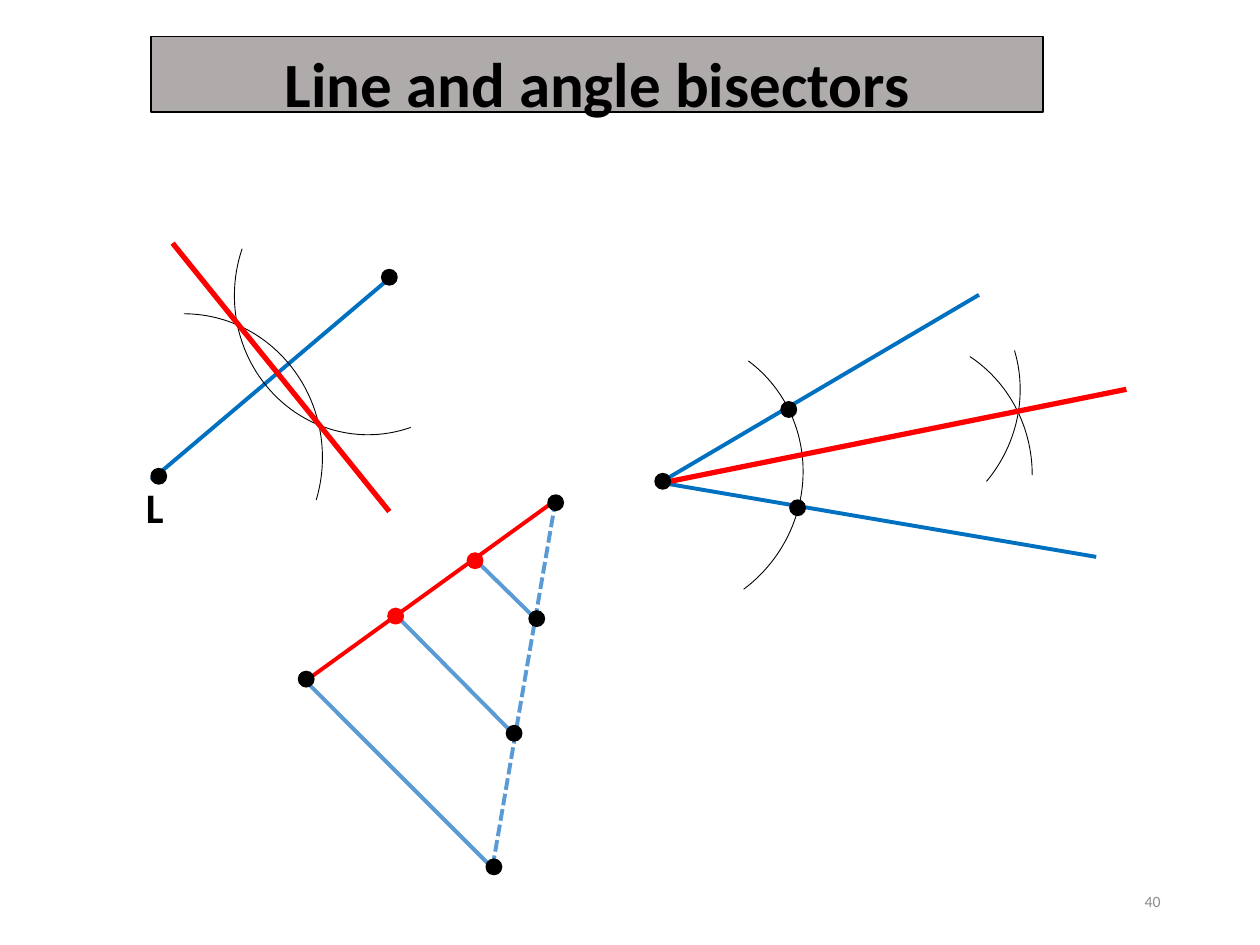
from pptx import Presentation
from pptx.dml.color import RGBColor
from pptx.enum.dml import MSO_LINE
from pptx.enum.shapes import MSO_CONNECTOR, MSO_SHAPE
from pptx.enum.text import MSO_ANCHOR, MSO_AUTO_SIZE, PP_ALIGN
from pptx.oxml.ns import qn
from pptx.util import Inches, Pt
from lxml.etree import SubElement

WIDTH, HEIGHT = Inches(10), Inches(7.5)
COLUMNS = 100
DOT = 1.2
BLACK, RED, BLUE, SKY = "000000", "FF0000", "0070C0", "5B9BD5"
GREY, PALE = "AFABAB", "8C8C8C"

SEGMENT_END = (30.9, 22.1)
VERTEX = (52.4, 38.3)
TOP, LEFT, BOTTOM = (44.1, 39.7), (23.9, 54.3), (39.2, 68.2)

SIDES = [
    ((12, 38.1), SEGMENT_END, BLUE),
    (VERTEX, (77.7, 23.4), BLUE),
    (VERTEX, (87, 44.2), BLUE),
    (TOP, LEFT, RED),
    ((37.7, 44.4), (42.8, 49.4), SKY),
    ((31.4, 48.8), (41.1, 58.6), SKY),
    ((23.9, 53.7), (39.2, 69), SKY),
]
BISECTORS = [((13.7, 19.3), (30.9, 40.6)), ((53.2, 38.2), (89.4, 30.9))]
ARCS = [
    ((3.6, 24.9, 22, 22.8), 0, (270, 17.79)),
    ((18.6, 12.4, 21.2, 22.1), 180, (252.02, 20.41)),
    ((41.6, 26.4, 22, 22.8), 36.6, (270, 17.79)),
    ((58.7, 19.9, 22, 22.8), 54.6, (287.55, 344.22)),
    ((59.9, 26.5, 22, 22.8), 14.8, (287.55, 344.22)),
]
BLACK_DOTS = [
    (12.6, 37.8), (30.9, 22), (52.6, 38.2), (63.3, 40.3), (62.6, 32.5),
    (44.1, 39.9), (24.3, 53.9), (42.6, 49.1), (40.8, 58.2), (39.2, 68.8),
]
RED_DOTS = [(31.4, 48.9), (37.7, 44.5)]


def grid(*cells):
    """Turn grid cells into slide lengths."""
    return [round(WIDTH * cell / COLUMNS) for cell in cells]


def color(value):
    """Make a colour from a hex string."""
    return RGBColor.from_string(value)


def paint(sp, line, weight, fill=None):
    """Set the outline and fill of a shape."""
    sp.line.color.rgb = color(line)
    sp.line.width = Pt(weight)
    if fill:
        sp.fill.solid()
        sp.fill.fore_color.rgb = color(fill)
    else:
        sp.fill.background()


def write(tf, text, size, font_color, bold=False, align=PP_ALIGN.LEFT):
    """Write one formatted paragraph in a text frame."""
    p = tf.paragraphs[0]
    p.alignment = align
    r = p.add_run()
    r.text = text
    for name, value in {"name": "Calibri", "size": Pt(size), "bold": bold}.items():
        setattr(r.font, name, value)
    r.font.color.rgb = color(font_color)


def add_title(s, text):
    """Place the title on a grey band."""
    sp = s.shapes.title
    sp.left, sp.top, sp.width, sp.height = grid(12, 2.9, 70.8, 6)
    paint(sp, BLACK, 1, GREY)
    settings = {"vertical_anchor": MSO_ANCHOR.TOP, "word_wrap": True,
                "auto_size": MSO_AUTO_SIZE.NONE, "margin_top": Inches(0.06)}
    for name, value in settings.items():
        setattr(sp.text_frame, name, value)
    write(sp.text_frame, text, 36, BLACK, True, PP_ALIGN.CENTER)


def add_line(s, start, end, line_color, weight=2.25, dash=None):
    """Draw a straight line between two grid points."""
    sp = s.shapes.add_connector(MSO_CONNECTOR.STRAIGHT, *grid(*start, *end))
    sp.line.color.rgb = color(line_color)
    sp.line.width = Pt(weight)
    if dash:
        sp.line.dash_style = dash
    SubElement(sp._element.spPr, qn("a:effectLst"))


def add_arc(s, box, rotation, angles):
    """Draw a thin compass arc between two angles in degrees."""
    sp = s.shapes.add_shape(MSO_SHAPE.ARC, *grid(*box))
    sp.shadow.inherit = False
    sp.rotation = rotation
    for i, angle in enumerate(angles):
        sp.adjustments[i] = angle * 0.6
    paint(sp, BLACK, 0.5)


def add_dot(s, center, fill):
    """Mark a point with a dot around its centre."""
    x, y = center
    sp = s.shapes.add_shape(MSO_SHAPE.OVAL, *grid(x - DOT / 2, y - DOT / 2, DOT, DOT))
    sp.shadow.inherit = False
    paint(sp, fill, 1, fill)


def add_label(s, box, text, size, font_color, wrap=True, anchor=MSO_ANCHOR.TOP, **style):
    """Add a text box with one line of text."""
    tf = s.shapes.add_textbox(*grid(*box)).text_frame
    tf.word_wrap = wrap
    tf.vertical_anchor = anchor
    write(tf, text, size, font_color, **style)


def main():
    """Build the slide of bisector constructions."""
    prs = Presentation()
    prs.slide_width, prs.slide_height = WIDTH, HEIGHT
    s = prs.slides.add_slide(prs.slide_layouts[5])
    add_title(s, "Line and angle bisectors")
    add_line(s, TOP, BOTTOM, SKY, dash=MSO_LINE.SQUARE_DOT)
    for side in SIDES:
        add_line(s, *side)
    for arc in ARCS:
        add_arc(s, *arc)
    for start, end in BISECTORS:
        add_line(s, start, end, RED, 3)
    for fill, centers in ((BLACK, BLACK_DOTS), (RED, RED_DOTS)):
        for center in centers:
            add_dot(s, center, fill)
    add_label(s, (10.6, 37.7, 3.4, 5), "L", 24, BLACK, wrap=False, bold=True)
    add_label(s, (70.6, 69.5, 22.5, 4), "40", 9, PALE,
              anchor=MSO_ANCHOR.MIDDLE, align=PP_ALIGN.RIGHT)
    prs.save("out.pptx")


if __name__ == "__main__":
    main()
